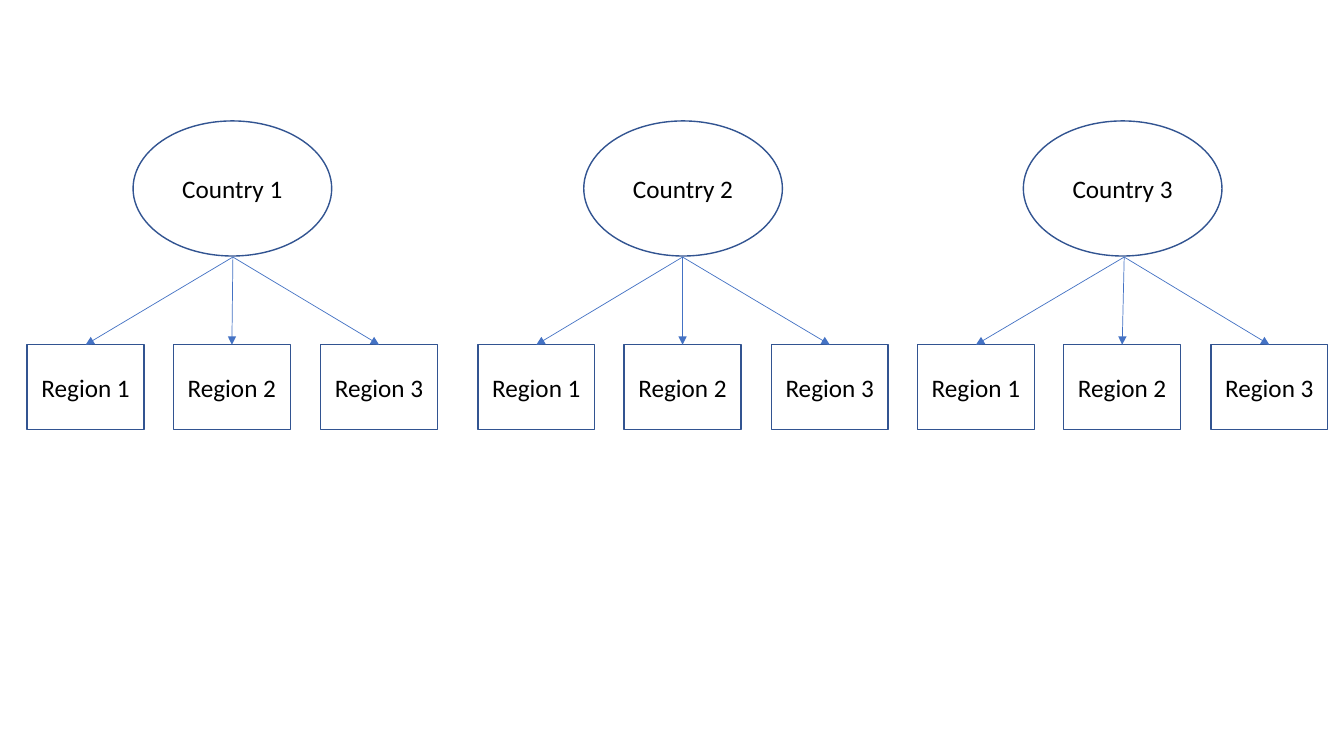
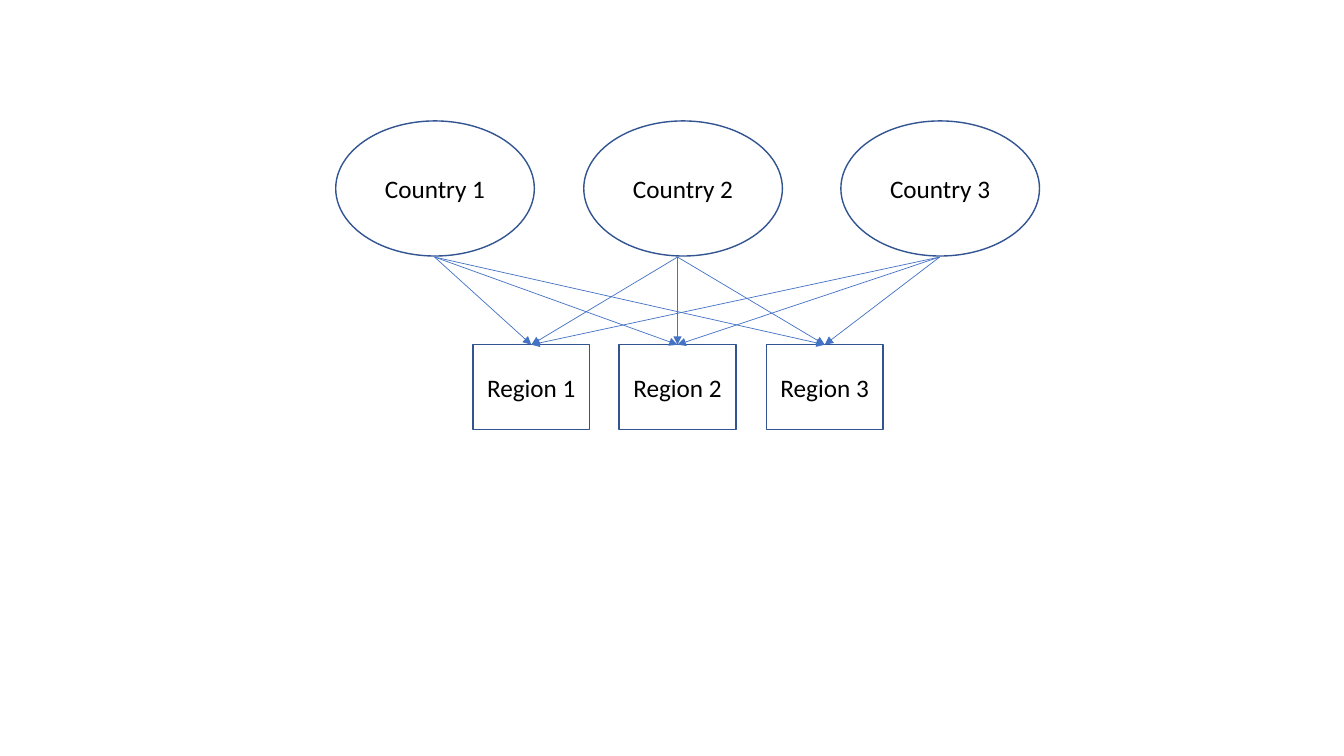
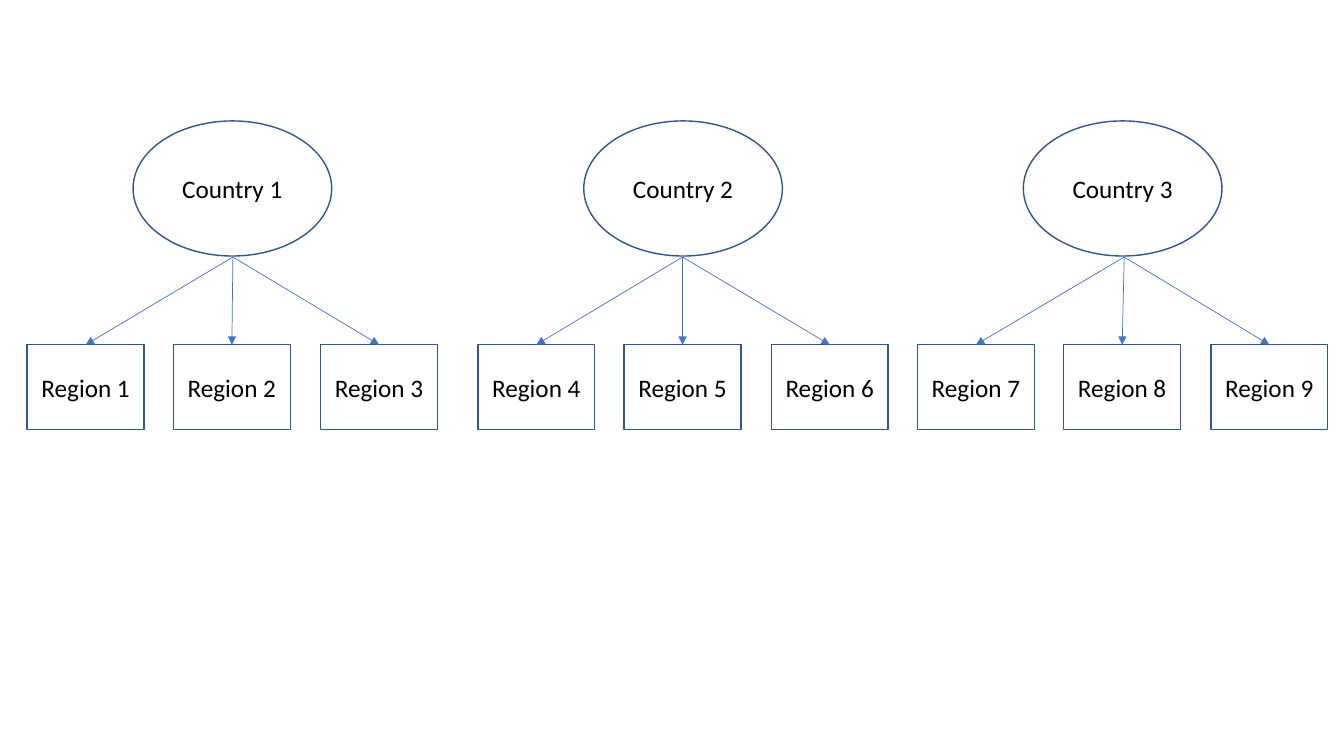
"""Builds three slides that link countries to their regions."""
from lxml import etree
from pptx import Presentation
from pptx.dml.color import RGBColor
from pptx.enum.shapes import MSO_CONNECTOR, MSO_SHAPE
from pptx.enum.text import MSO_ANCHOR, PP_ALIGN
from pptx.oxml.ns import qn
from pptx.util import Pt

OVAL, RECT = MSO_SHAPE.OVAL, MSO_SHAPE.RECTANGLE
LINE = MSO_CONNECTOR.STRAIGHT
MIDDLE, CENTER = MSO_ANCHOR.MIDDLE, PP_ALIGN.CENTER

PX = 9144
WHITE, BLACK, EDGE, LINK = "FFFFFF", "000000", "325491", "4472C4"
FONT = {"name": "Calibri", "size": Pt(18)}
OVAL_TOP, OVAL_W, OVAL_H = 120, 197, 134
BOX_TOP, BOX_W, BOX_H = 342, 116, 84
LINK_TOP = 255
SPAN = 291

WIDE = {"ovals": [132, 579, 1015], "starts": [231, 677, 1115], "rows": [27, 474, 910]}
NEAR = {"ovals": [333, 579, 834], "starts": [431, 672, 932], "rows": [469]}
PLANS = [(WIDE, 0), (NEAR, 0), (WIDE, 3)]


def paint(color, value):
    color.rgb = RGBColor.from_string(value)


def add_node(slide, kind, text, *box):
    node = slide.shapes.add_shape(kind, *(n * PX for n in box))
    node.shadow.inherit = False
    node.fill.solid()
    paint(node.fill.fore_color, WHITE)
    paint(node.line.color, EDGE)
    node.line.width = Pt(1)
    frame = node.text_frame
    frame.text = text
    frame.word_wrap = True
    frame.vertical_anchor = MIDDLE
    para = frame.paragraphs[0]
    para.alignment = CENTER
    for key, value in FONT.items():
        setattr(para.runs[0].font, key, value)
    paint(para.runs[0].font.color, BLACK)
    return node


deck = Presentation()
deck.slide_width, deck.slide_height = 1333 * PX, 750 * PX

for plan, step in PLANS:
    slide = deck.slides.add_slide(deck.slide_layouts[6])
    for num, left in enumerate(plan["ovals"], 1):
        add_node(slide, OVAL, f"Country {num}", left, OVAL_TOP, OVAL_W, OVAL_H)
    rows = [
        [
            add_node(slide, RECT, f"Region {row * step + col + 1}",
                     left + SPAN * col // 2, BOX_TOP, BOX_W, BOX_H)
            for col in range(3)
        ]
        for row, left in enumerate(plan["rows"])
    ]
    for num, start in enumerate(plan["starts"]):
        for box in rows[num % len(rows)]:
            link = slide.shapes.add_connector(
                LINE, start * PX, LINK_TOP * PX, start * PX, BOX_TOP * PX)
            link.end_connect(box, 0)
            paint(link.line.color, LINK)
            link.line.width = Pt(0.5)
            edge = link.line._get_or_add_ln()
            etree.SubElement(edge, qn("a:tailEnd"), type="triangle")
            etree.SubElement(edge.getparent(), qn("a:effectLst"))

deck.save("out.pptx")
